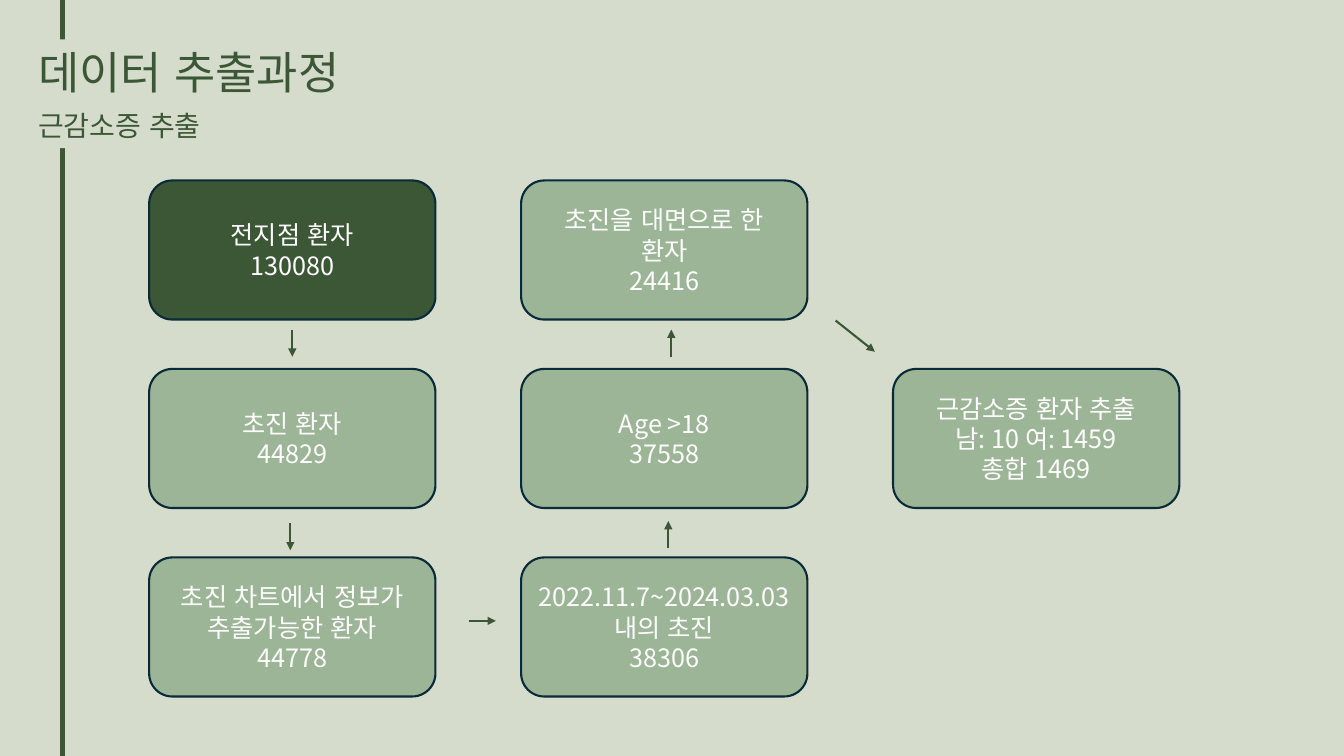
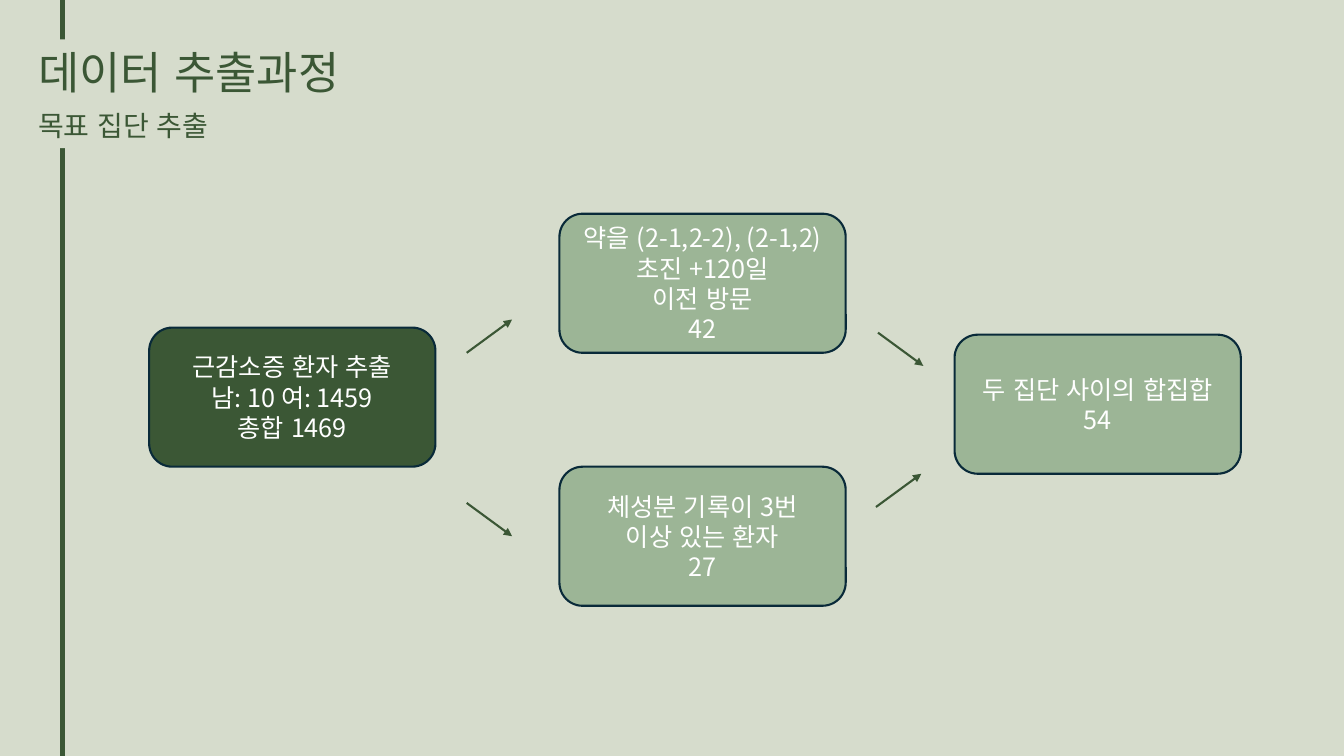
import pptx
import pptx.util
import pptx.dml.color
import pptx.enum.lang
import pptx.enum.shapes
import pptx.enum.text
import pptx.oxml.ns
import lxml.etree
from dataclasses import dataclass

qn = pptx.oxml.ns.qn
Align = pptx.enum.text.PP_ALIGN
Anchor = pptx.enum.text.MSO_ANCHOR


@dataclass(frozen=True)
class Theme:
    background: str = "D6DCCC"
    dark: str = "3B5735"
    sage: str = "9CB596"
    outline: str = "092A39"
    white: str = "FFFFFF"
    font: str = "Noto Sans CJK KR"
    title_size: int = 32
    subtitle_size: int = 20
    box_size: int = 18
    spine_width: float = 3
    line_width: float = 1.5
    line_height: float = 1.2


def grid(units):
    """Columns and rows are both a tenth of an inch."""
    return pptx.util.Inches(units / 10)


def rgb(value):
    return pptx.dml.color.RGBColor.from_string(value)


class Deck:
    BOX_WIDTH, BOX_HEIGHT = 28.4, 13.8

    def __init__(self, theme):
        self.theme = theme
        self.prs = pptx.Presentation()
        self.prs.slide_width, self.prs.slide_height = grid(133.33), grid(75)
        self.paint(self.prs.slide_master.background, theme.background)
        self.slide = None

    def paint(self, part, color):
        part.fill.solid()
        part.fill.fore_color.rgb = rgb(color)

    def new_slide(self, title, subtitle):
        self.slide = self.prs.slides.add_slide(self.prs.slide_layouts[5])
        heading = self.slide.shapes.title
        self.band(heading, 3.9, 6.4, title, self.theme.title_size)
        label = self.slide.shapes.add_textbox(0, 0, 0, 0)
        self.band(label, 10.3, 4.4, subtitle, self.theme.subtitle_size)
        # The spine runs behind both heading bands
        spine = self.line(6.2, 0, 0, 75, self.theme.spine_width)
        heading.element.addprevious(spine.element)

    def band(self, shape, row, height, text, size):
        shape.left, shape.top = grid(2.8), grid(row)
        shape.width, shape.height = grid(129), grid(height)
        self.paint(shape, self.theme.background)
        self.add_lines(shape, [text], size, self.theme.dark, Align.LEFT, Anchor.TOP)
        shape.text_frame.auto_size = pptx.enum.text.MSO_AUTO_SIZE.SHAPE_TO_FIT_TEXT

    def add_lines(self, shape, lines, size, color, align, anchor):
        frame = shape.text_frame
        frame.word_wrap = True
        frame.vertical_anchor = anchor
        for index, line in enumerate(lines):
            paragraph = frame.add_paragraph() if index else frame.paragraphs[0]
            paragraph.alignment = align
            paragraph.space_before = pptx.util.Pt(0)
            paragraph.line_spacing = pptx.util.Pt(size * self.theme.line_height)
            run = paragraph.add_run()
            run.text = line
            run.font.size = pptx.util.Pt(size)
            run.font.color.rgb = rgb(color)
            run.font.name = self.theme.font
            run.font.language_id = pptx.enum.lang.MSO_LANGUAGE_ID.KOREAN
            # Korean glyphs take the East Asian face
            latin = run.font.fill._xPr.find(qn("a:latin"))
            latin.addnext(lxml.etree.Element(qn("a:ea"), typeface=self.theme.font))

    def box(self, col, row, lines, start=False):
        step = self.slide.shapes.add_shape(
            pptx.enum.shapes.MSO_SHAPE.ROUNDED_RECTANGLE, grid(col), grid(row),
            grid(self.BOX_WIDTH), grid(self.BOX_HEIGHT))
        step.shadow.inherit = False
        self.paint(step, self.theme.dark if start else self.theme.sage)
        step.line.color.rgb = rgb(self.theme.outline)
        step.line.width = pptx.util.Pt(self.theme.line_width)
        self.add_lines(step, lines, self.theme.box_size, self.theme.white,
                       Align.CENTER, Anchor.MIDDLE)

    def line(self, col, row, across, down, width):
        stroke = self.slide.shapes.add_connector(
            pptx.enum.shapes.MSO_CONNECTOR.STRAIGHT, grid(col), grid(row),
            grid(col + across), grid(row + down))
        stroke.line.color.rgb = rgb(self.theme.dark)
        stroke.line.width = pptx.util.Pt(width)
        lxml.etree.SubElement(stroke.element.spPr, qn("a:effectLst"))
        return stroke

    def arrow(self, col, row, across, down):
        stroke = self.line(col, row, across, down, self.theme.line_width)
        outline = stroke.element.spPr.find(qn("a:ln"))
        lxml.etree.SubElement(outline, qn("a:tailEnd"), type="triangle")


SARCOPENIA = ["근감소증 환자 추출", "남: 10 여: 1459", "총합 1469"]


def sarcopenia_slide(deck):
    deck.new_slide("데이터 추출과정", "근감소증 추출")
    # Patient filters by (column, row): down, across, then up
    steps = {
        (0, 0): ["전지점 환자", "130080"],
        (0, 1): ["초진 환자", "44829"],
        (0, 2): ["초진 차트에서 정보가 추출가능한 환자", "44778"],
        (1, 2): ["2022.11.7~2024.03.03내의 초진", "38306"],
        (1, 1): ["Age >18", "37558"],
        (1, 0): ["초진을 대면으로 한 환자", "24416"],
        (2, 1): SARCOPENIA,
    }
    for (column, row), lines in steps.items():
        deck.box(14.8 + 36.9 * column, 17.9 + 18.7 * row, lines,
                 start=(column, row) == (0, 0))
    # Arrows in the gaps, in reading order
    for arrow in ((29, 32.7, 0, 2.7), (28.8, 51.9, 0, 2.7),
                  (46.5, 61.6, 2.7, 0), (66.3, 54.4, 0, -2.7),
                  (66.6, 35.4, 0, -2.7), (82.9, 31.8, 3.9, 3.1)):
        deck.arrow(*arrow)


def target_group_slide(deck):
    deck.new_slide("데이터 추출과정", "목표 집단 추출")
    # One source, two groups, and their union
    deck.box(14.8, 32.5, SARCOPENIA, start=True)
    deck.box(55.5, 21.2, ["약을 (2-1,2-2), (2-1,2)", "초진 +120일", "이전 방문", "42"])
    deck.box(55.5, 46.3, ["체성분 기록이 3번", "이상 있는 환자", "27"])
    deck.box(94.7, 33.2, ["두 집단 사이의 합집합", "54"])
    # Slanted arrows share one length and slope
    for col, row, direction in ((46.3, 49.9, 1), (46.3, 35, -1),
                                (87.1, 33, 1), (86.9, 50.3, -1)):
        deck.arrow(col, row, 4.5, 3.3 * direction)


def main():
    deck = Deck(Theme())
    sarcopenia_slide(deck)
    target_group_slide(deck)
    deck.prs.save("out.pptx")


if __name__ == "__main__":
    main()
